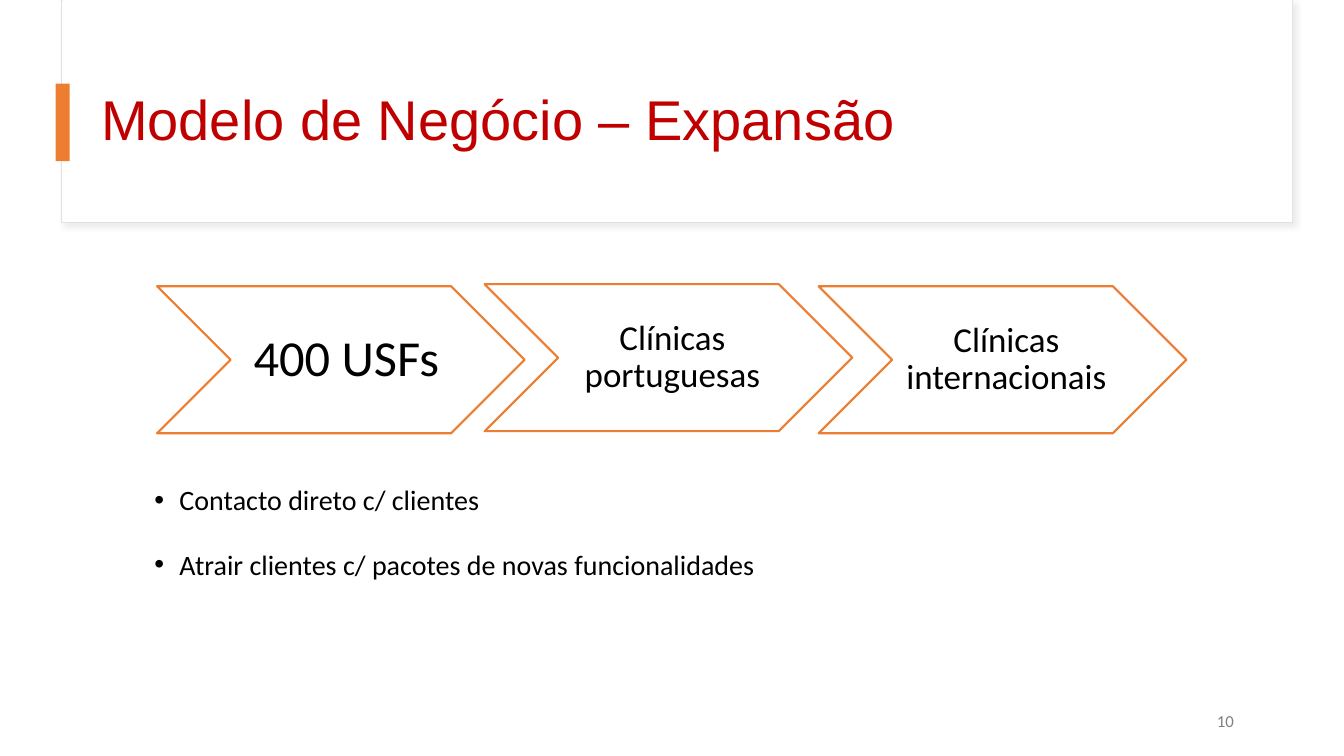
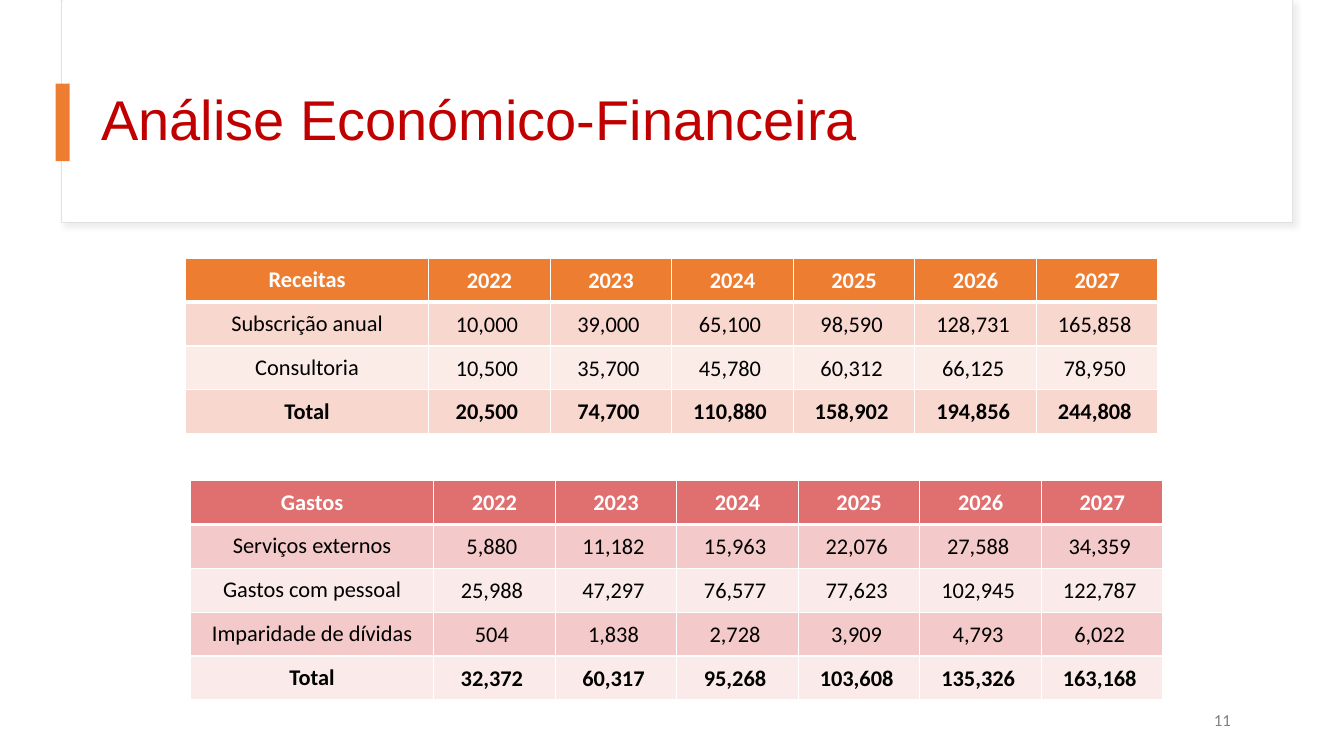
from lxml.etree import SubElement
from pptx import Presentation
from pptx.dml.color import RGBColor
from pptx.enum.shapes import MSO_SHAPE
from pptx.enum.text import MSO_ANCHOR, MSO_AUTO_SIZE, PP_ALIGN
from pptx.oxml.ns import qn
from pptx.util import Pt

HUES = {
    "white": "FFFFFF", "black": "000000", "red": "C00000", "gray": "808080",
    "edge": "E1E1E1", "shade": "D9D9D9", "orange": "ED7D31",
    "peach": "F8D7CE", "cream": "FCECE8",
    "rose": "E07070", "pink": "F3C9C9", "blush": "FAEAEA",
}
TITLE = {"name": "Arial", "size": Pt(40), "bold": False}
LIST = {"name": "Calibri", "size": Pt(20)}
PAGE = {"name": "Calibri", "size": Pt(12)}
CELL = {"name": "Calibri", "size": Pt(16)}
FRAME = {"word_wrap": True, "auto_size": MSO_AUTO_SIZE.NONE}
MID = {**FRAME, "vertical_anchor": MSO_ANCHOR.MIDDLE}
YEARS = ["2022", "2023", "2024", "2025", "2026", "2027"]
INCOME = [
    ["Receitas", *YEARS],
    ["Subscrição anual", "10,000", "39,000", "65,100", "98,590", "128,731", "165,858"],
    ["Consultoria", "10,500", "35,700", "45,780", "60,312", "66,125", "78,950"],
    ["Total", "20,500", "74,700", "110,880", "158,902", "194,856", "244,808"],
]
COSTS = [
    ["Gastos", *YEARS],
    ["Serviços externos", "5,880", "11,182", "15,963", "22,076", "27,588", "34,359"],
    ["Gastos com pessoal", "25,988", "47,297", "76,577", "77,623", "102,945", "122,787"],
    ["Imparidade de dívidas", "504", "1,838", "2,728", "3,909", "4,793", "6,022"],
    ["Total", "32,372", "60,317", "95,268", "103,608", "135,326", "163,168"],
]


def hue(name):
    """Return the named colour."""
    return RGBColor.from_string(HUES[name])


def apply(item, values):
    """Set each named attribute on the item."""
    for key, value in values.items():
        setattr(item, key, value)


def place(shape, box):
    """Move and size a shape to a box in points."""
    apply(shape, dict(zip(("left", "top", "width", "height"), map(Pt, box))))


def style(para, look, color, **values):
    """Format a paragraph and its font."""
    apply(para, values)
    apply(para.font, look)
    para.font.color.rgb = hue(color)


def draw(slide, kind, box, fill, line=None, width=0.75):
    """Add a filled shape with an optional outline."""
    shape = slide.shapes.add_shape(kind, *map(Pt, box))
    shape.shadow.inherit = False
    shape.fill.solid()
    shape.fill.fore_color.rgb = hue(fill)
    if line:
        shape.line.color.rgb = hue(line)
        shape.line.width = Pt(width)
    else:
        shape.line.fill.background()
    return shape


def cast(shape):
    """Give a shape a soft shadow to its lower right."""
    effects = shape.element.spPr.find(qn("a:effectLst"))
    outer = SubElement(effects, qn("a:outerShdw"), blurRad=str(Pt(4)),
                       dist=str(Pt(3)), dir="2700000", algn="tl", rotWithShape="0")
    color = SubElement(outer, qn("a:srgbClr"), val=HUES["shade"])
    SubElement(color, qn("a:alpha"), val="50000")


def header(slide, text, box):
    """Build the title card, its title and its accent bar."""
    left, top, width, height = box
    title = slide.shapes.title
    card = draw(slide, MSO_SHAPE.RECTANGLE, box, "white", "edge")
    cast(card)
    cover = draw(slide, MSO_SHAPE.RECTANGLE,
                 (left + 0.7, top, width - 0.7, height - 0.7), "white")
    for shape in (card, cover):
        title.element.addprevious(shape.element)
    place(title, (left + 21, top + 41, width - 33, 93))
    title.text = text
    apply(title.text_frame, MID)
    style(title.text_frame.paragraphs[0], TITLE, "red",
          alignment=PP_ALIGN.LEFT, line_spacing=0.9)
    draw(slide, MSO_SHAPE.RECTANGLE, (left - 4.3, top + 59.8, 10, 55.4), "orange")


def footer(slide, number, box):
    """Write the page number."""
    frame = slide.shapes.add_textbox(*map(Pt, box)).text_frame
    apply(frame, MID)
    frame.text = number
    style(frame.paragraphs[0], PAGE, "gray", alignment=PP_ALIGN.RIGHT)


def step(slide, text, size, box):
    """Draw one chevron with its label."""
    shape = draw(slide, MSO_SHAPE.CHEVRON, box, "white", "orange", 1.5)
    frame = shape.text_frame
    pad = size / 9
    apply(frame, {**MID, "margin_left": Pt(pad * 3), "margin_right": Pt(pad),
                  "margin_top": Pt(pad), "margin_bottom": Pt(pad)})
    frame.text = text
    style(frame.paragraphs[0], {"name": "Calibri", "size": Pt(size)}, "black",
          alignment=PP_ALIGN.CENTER, line_spacing=0.9)


def points(slide, lines, box):
    """Fill the body placeholder with a bulleted list."""
    body = slide.placeholders[1]
    place(body, box)
    frame = body.text_frame
    apply(frame, FRAME)
    frame.text = "\n".join(lines)
    for index, para in enumerate(frame.paragraphs):
        props = para._p.get_or_add_pPr()
        props.set("marL", str(Pt(18)))
        props.set("indent", str(-Pt(18)))
        style(para, LIST, "black", space_before=Pt(10 if index else 0),
              line_spacing=1.5 if index else 1.0)


def border(cell, base):
    """Give a cell white borders with the given bottom width."""
    props = cell._tc.get_or_add_tcPr()
    for side, width in (("L", 1), ("R", 1), ("T", 1), ("B", base)):
        line = SubElement(props, qn(f"a:ln{side}"), w=str(Pt(width)))
        fill = SubElement(line, qn("a:solidFill"))
        SubElement(fill, qn("a:srgbClr"), val=HUES["white"])


def grid(slide, rows, fills, box):
    """Build a table with a header, striped rows and a bold total."""
    top, odd, even = fills
    table = slide.shapes.add_table(len(rows), len(rows[0]), *map(Pt, box)).table
    first = box[2] / 4
    rest = (box[2] - first) / (len(rows[0]) - 1)
    for index, column in enumerate(table.columns):
        column.width = Pt(rest if index else first)
    for index, row in enumerate(rows):
        table.rows[index].height = Pt(box[3] / len(rows))
        fill = (odd if index % 2 else even) if index else top
        bold = index in (0, len(rows) - 1)
        for spot, text in enumerate(row):
            cell = table.cell(index, spot)
            border(cell, 1 if index else 3)
            cell.fill.solid()
            cell.fill.fore_color.rgb = hue(fill)
            cell.vertical_anchor = MSO_ANCHOR.MIDDLE
            if spot:
                apply(cell, {"margin_left": Pt(0.7), "margin_top": Pt(0.7),
                             "margin_right": Pt(4.3 if index else 0.7),
                             "margin_bottom": 0})
            cell.text = text
            style(cell.text_frame.paragraphs[0], {**CELL, "bold": bold},
                  "black" if index else "white", alignment=PP_ALIGN.CENTER)


def start(deck, layout, title, number, spot):
    """Add a slide with the shared header and footer."""
    slide = deck.slides.add_slide(deck.slide_layouts[layout])
    header(slide, title, (44, 0, 879, 159))
    footer(slide, number, (*spot, 216, 28.8))
    return slide


def growth(deck):
    """Build the slide on expansion."""
    slide = start(deck, 1, "Modelo de Negócio – Expansão", "10", (672.5, 500.4))
    for text, size, left, top in (
        ("400 USFs", 36, 112.2, 204.5),
        ("Clínicas portuguesas", 25, 346.2, 203),
        ("Clínicas internacionais", 25, 584.8, 204.5),
    ):
        step(slide, text, size, (left, top, 262.6, 105))
    points(slide, ["Contacto direto c/ clientes",
                   "Atrair clientes c/ pacotes de novas funcionalidades"],
           (103, 341.3, 800.6, 140.4))


def finance(deck):
    """Build the slide on income and costs."""
    slide = start(deck, 5, "Análise Económico-Financeira", "11", (670.3, 499.7))
    grid(slide, INCOME, ("orange", "peach", "cream"), (132.5, 184.5, 694.8, 125.3))
    grid(slide, COSTS, ("rose", "pink", "blush"), (136.1, 343.2, 694.8, 156.8))


def main():
    """Build and save the deck."""
    deck = Presentation()
    apply(deck, {"slide_width": Pt(960), "slide_height": Pt(540)})
    growth(deck)
    finance(deck)
    deck.save("out.pptx")


if __name__ == "__main__":
    main()
